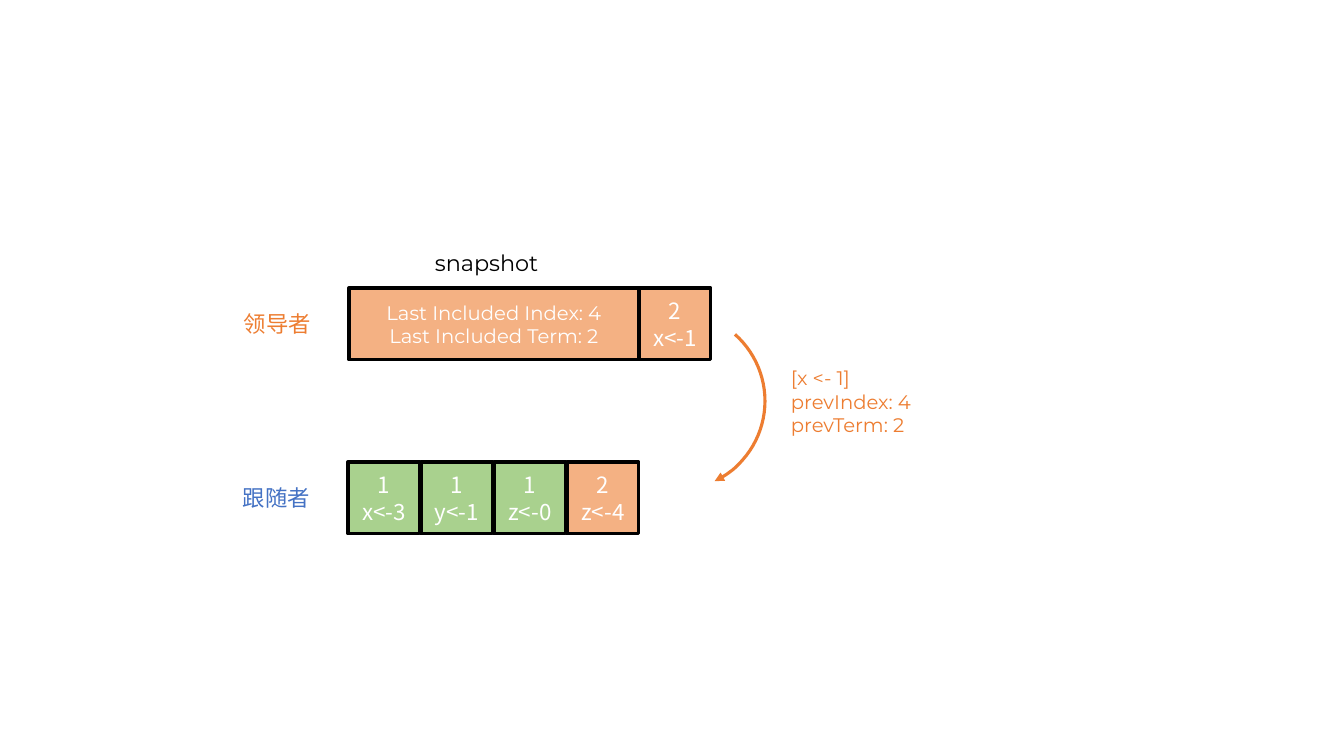
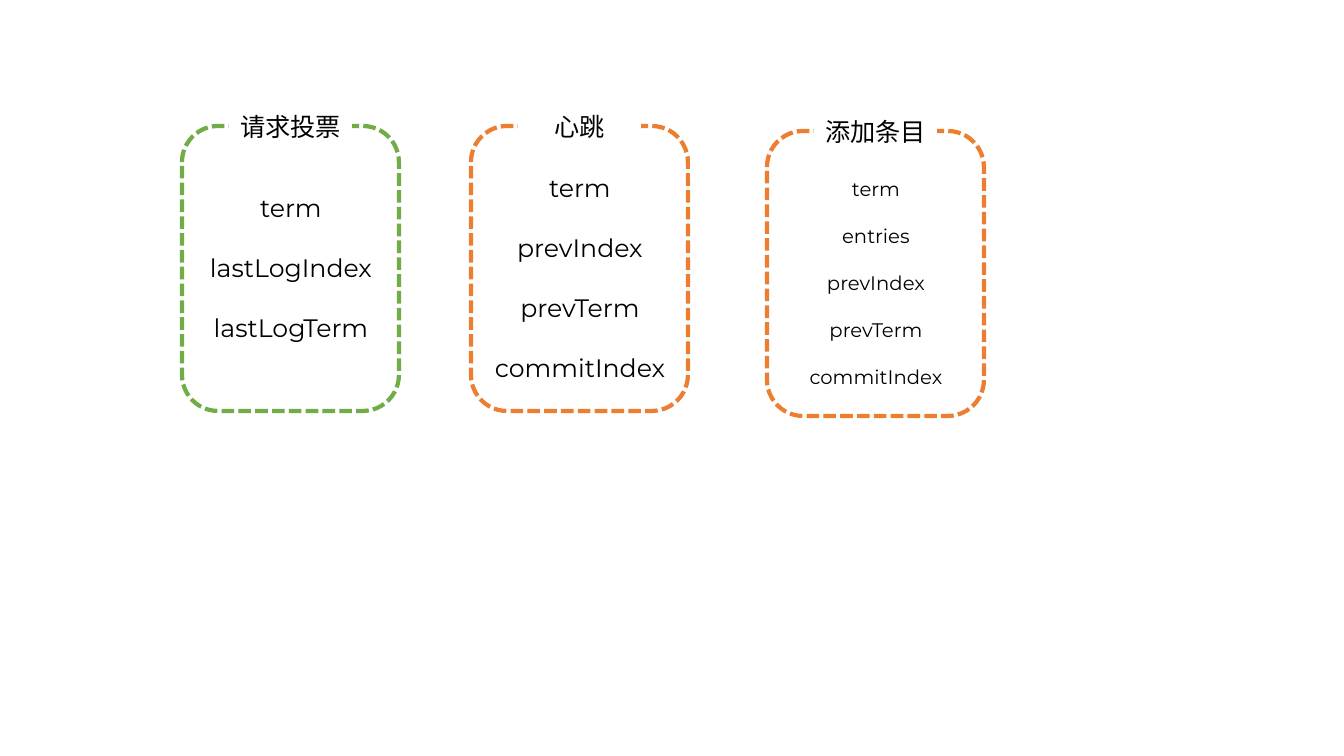
from lxml import etree
from pptx import Presentation
from pptx.dml.color import RGBColor
from pptx.enum import dml, shapes, text
from pptx.oxml.ns import qn
from pptx.util import Emu, Pt

PX = 914400 / 100.8
COLORS = {
    "orange": "ED7D31", "light_orange": "F4B183", "green": "70AD47",
    "light_green": "A9D18E", "blue": "4472C4", "black": "000000", "white": "FFFFFF",
}
LATIN, CJK = "Montserrat", "Noto Sans CJK SC"
LEFT, CENTER = text.PP_ALIGN.LEFT, text.PP_ALIGN.CENTER
TOP, MIDDLE = text.MSO_ANCHOR.TOP, text.MSO_ANCHOR.MIDDLE


def px(*lengths):
    return [Emu(round(n * PX)) for n in lengths]


def rgb(name):
    return RGBColor.from_string(COLORS[name])


def write(sp, lines, size, font, color, align=LEFT, anchor=TOP, gap=0):
    tf = sp.text_frame
    tf.word_wrap = True
    tf.vertical_anchor = anchor
    tf.text = "\n".join(lines)
    for i, p in enumerate(tf.paragraphs):
        p.alignment = align
        if i and gap:
            p.space_before = Pt(gap)
        for r in p.runs:
            r.font.size = Pt(size)
            r.font.name = font
            r.font.color.rgb = rgb(color)
            etree.SubElement(r.font._element, qn("a:ea"), typeface=font)


def add_text(s, box, lines, size, font, color, **style):
    write(s.shapes.add_textbox(*px(*box)), lines, size, font, color, **style)


def add_shape(s, kind, box, fill=None, line=None, width=2.25):
    sp = s.shapes.add_shape(kind, *px(*box))
    sp.shadow.inherit = False
    if fill:
        sp.fill.solid()
        sp.fill.fore_color.rgb = rgb(fill)
    else:
        sp.fill.background()
    if line:
        sp.line.color.rgb = rgb(line)
        sp.line.width = Pt(width)
    else:
        sp.line.fill.background()
    return sp


def add_entry(s, box, lines, fill, size=16, font=CJK):
    sp = add_shape(s, shapes.MSO_SHAPE.RECTANGLE, box, fill, "black")
    write(sp, lines, size, font, "white", CENTER, MIDDLE)


def add_leader_log(s, x, y, cell):
    add_text(s, (x - 115, y + 17, 101, 37), ["领导者"], 16, CJK, "orange")
    add_text(s, (x + 76, y - 44, 133, 37), ["snapshot"], 16, LATIN, "black")
    snapshot = ["Last Included Index: 4", "Last Included Term: 2"]
    add_entry(s, (x, y, 290, cell), snapshot, "light_orange", 14, LATIN)
    add_entry(s, (x + 290, y, cell, cell), ["2", "x<-1"], "light_orange")


def add_follower_log(s, x, y, cell):
    add_text(s, (x - 115, y + 17, 102, 37), ["跟随者"], 16, CJK, "blue")
    entries = [("1", "x<-3"), ("1", "y<-1"), ("1", "z<-0"), ("2", "z<-4")]
    for i, (term, command) in enumerate(entries):
        fill = "light_green" if term == "1" else "light_orange"
        add_entry(s, (x + i * (cell + 1), y, cell, cell), [term, command], fill)


def add_message(s, x, y, size):
    arc = add_shape(s, shapes.MSO_SHAPE.ARC, (x, y, size, size), line="orange")
    arc.adjustments[0] = 162
    arc.adjustments[1] = 13.67
    arc.rotation = 41.5
    etree.SubElement(arc.line._get_or_add_ln(), qn("a:tailEnd"), type="triangle")
    fields = ["[x <- 1]", "prevIndex: 4", "prevTerm: 2"]
    add_text(s, (x + 194, y + 49, 187, 82), fields, 14, LATIN, "orange")


def add_request(s, x, y, title, color, fields, size, top):
    width, height = 217, 285
    frame = add_shape(s, shapes.MSO_SHAPE.ROUNDED_RECTANGLE,
                      (x, y, width, height), line=color, width=3)
    frame.line.dash_style = dml.MSO_LINE.SQUARE_DOT
    label = add_shape(s, shapes.MSO_SHAPE.RECTANGLE, (x + 47, y - 20, 123, 40), "white")
    write(label, [title], 18, CJK, "black", CENTER)
    add_text(s, (x - 3, y + top, width + 7, height - 2 * top), fields, size, LATIN,
             "black", align=CENTER, gap=1.19 * size)


def build_replication(s):
    add_leader_log(s, 349, 288, 72)
    add_follower_log(s, 348, 462, 72)
    add_message(s, 587, 312, 178)


def build_requests(s):
    add_request(s, 182, 126, "请求投票", "green",
                ["term", "lastLogIndex", "lastLogTerm"], 18, 61)
    add_request(s, 471, 126, "心跳", "orange",
                ["term", "prevIndex", "prevTerm", "commitIndex"], 18, 41)
    add_request(s, 767, 131, "添加条目", "orange",
                ["term", "entries", "prevIndex", "prevTerm", "commitIndex"], 14, 41)


prs = Presentation()
prs.slide_width, prs.slide_height = px(1344, 756)
for build in (build_replication, build_requests):
    build(prs.slides.add_slide(prs.slide_layouts[6]))
prs.save("out.pptx")
